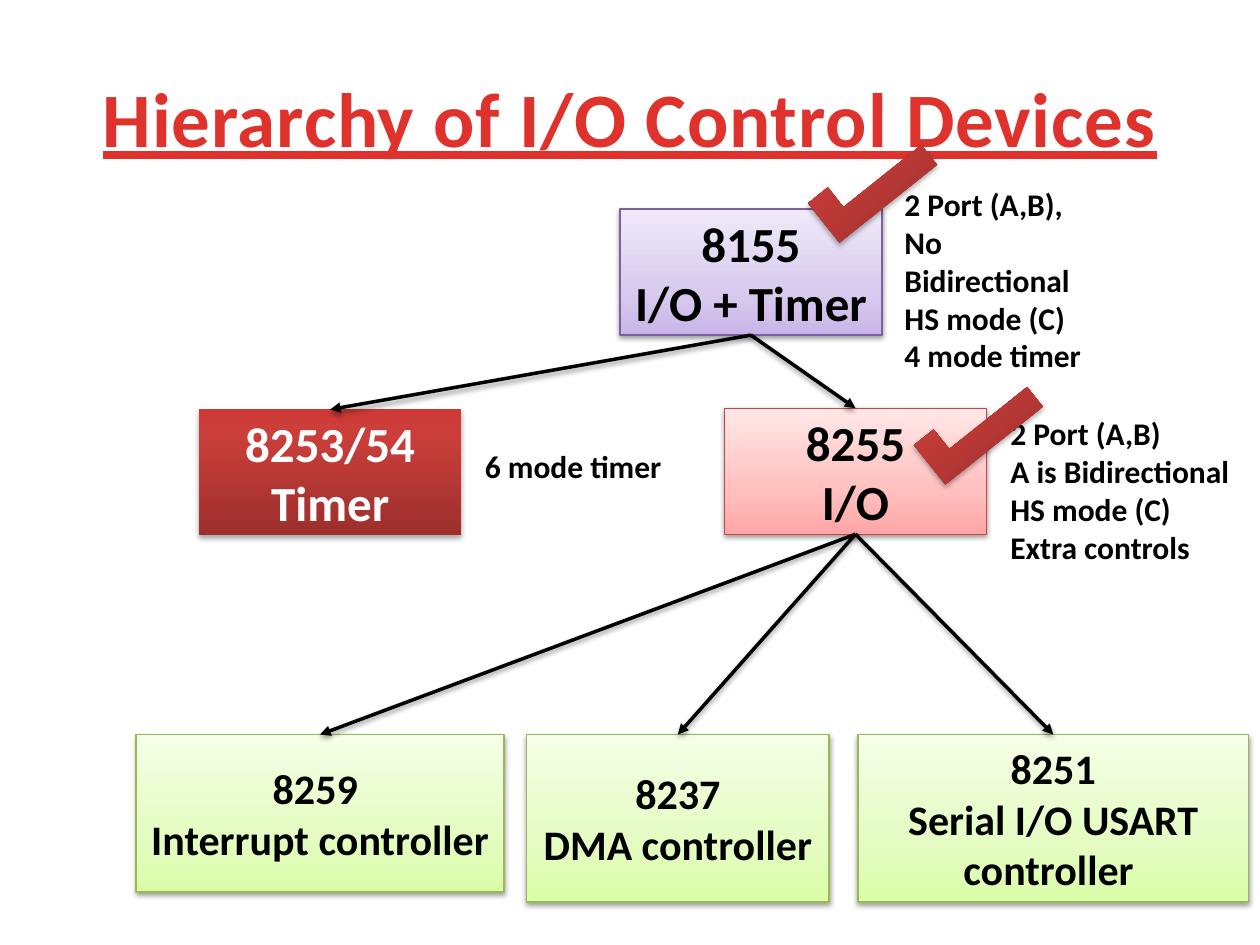
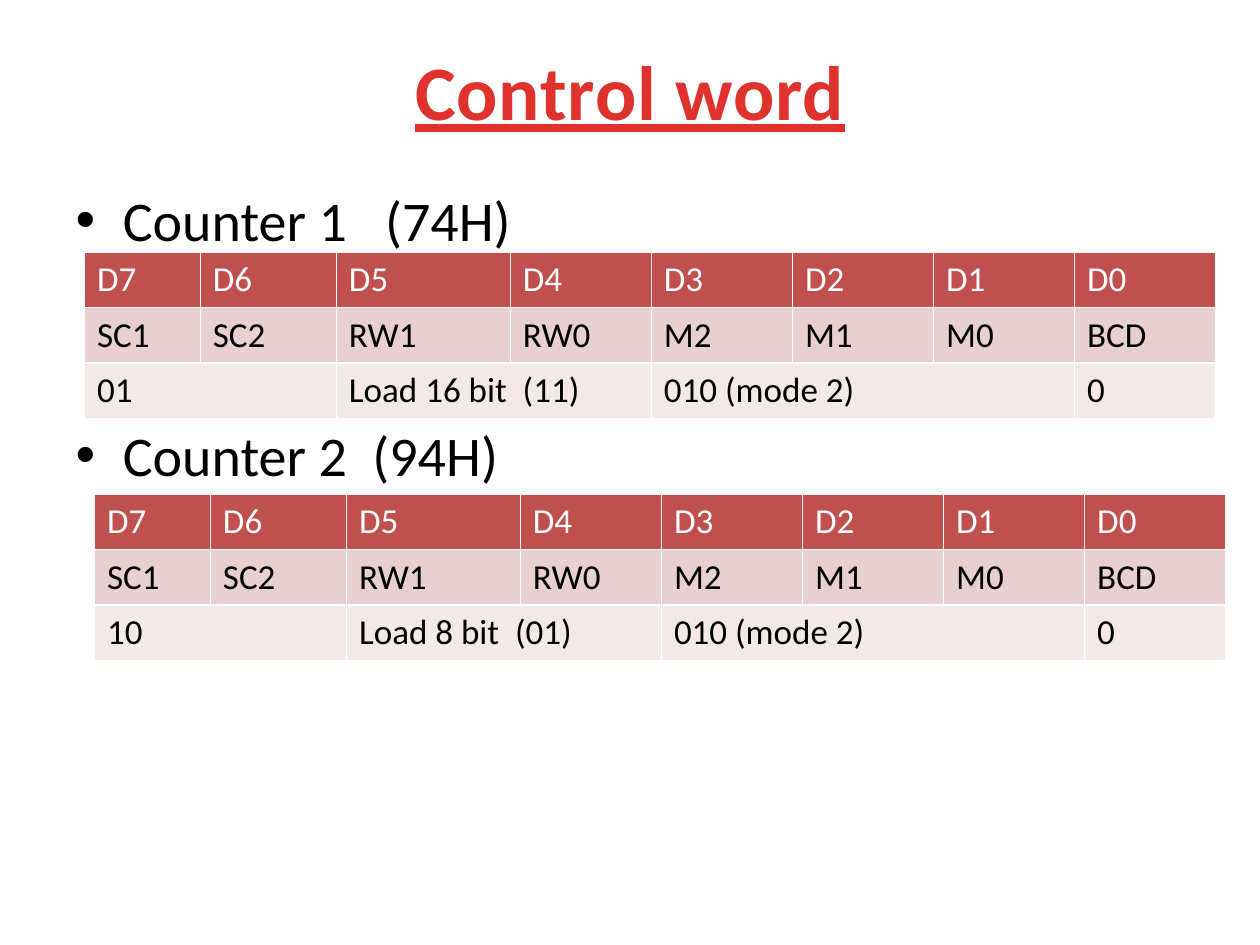
from lxml.etree import SubElement
from pptx import Presentation
from pptx.dml.color import RGBColor
from pptx.enum.shapes import MSO_CONNECTOR, MSO_SHAPE
from pptx.enum.text import MSO_ANCHOR, PP_ALIGN
from pptx.oxml.ns import qn
from pptx.util import Inches, Pt

FONT = "Calibri"
WIDE, HIGH = 10, 7.5
BLACK = RGBColor(0x00, 0x00, 0x00)
WHITE = RGBColor(0xFF, 0xFF, 0xFF)
TITLE = RGBColor(0xE0, 0x32, 0x2D)
HEAD = RGBColor(0xC0, 0x50, 0x4D)
ROWS = [HEAD, RGBColor(0xE8, 0xD0, 0xD0), RGBColor(0xF4, 0xE9, 0xE9)]

# look: gradient stops from the bottom up, edge colour, text colour
LOOKS = {
    "violet": ([(0, "C9B5E8"), (35, "D8CBEE"), (100, "F0EAF9")],
               RGBColor(0x7D, 0x60, 0xA0), BLACK),
    "pink": ([(0, "FFA6A5"), (35, "FFC0BF"), (100, "FFE7E7")],
             RGBColor(0xBF, 0x4C, 0x48), BLACK),
    "red": ([(0, "9C2F2D"), (80, "CB3E3A"), (100, "CE3B37")], None, WHITE),
    "green": ([(0, "DAFDA7"), (35, "E4FCC2"), (100, "F5FFE7")],
              RGBColor(0x98, 0xB9, 0x55), BLACK),
}

# chip: (left, top, width, height), look, text size, lines
CHIPS = {
    "8155": ((4.92, 1.66, 2.08, 1), "violet", 28, ["8155", "I/O + Timer"]),
    "8255": ((5.75, 3.24, 2.08, 1), "pink", 28, ["8255", "I/O"]),
    "8253": ((1.58, 3.25, 2.08, 1), "red", 28, ["8253/54", "Timer"]),
    "8259": ((1.08, 5.83, 2.92, 1.25), "green", 24,
             ["8259 ", "Interrupt controller "]),
    "8237": ((4.18, 5.83, 2.4, 1.33), "green", 24,
             ["8237", "DMA controller "]),
    "8251": ((6.81, 5.83, 3.1, 1.33), "green", 24,
             ["8251", "Serial I/O USART controller "]),
}
LINKS = {"8155": ["8255", "8253"], "8255": ["8259", "8237", "8251"]}
NOTES = [
    ((7.08, 1.42, 1.83, 1.62),
     ["2 Port (A,B),", "No Bidirectional", "HS mode (C)", "4 mode timer"]),
    ((7.92, 3.24, 2.25, 1.31),
     ["2 Port (A,B)", "A is Bidirectional", "HS mode (C)", "Extra controls"]),
    ((3.75, 3.5, 1.83, 0.4), ["6 mode timer"]),
]
TICKS = [(7.27, 3.18, 0.99, 0.4), (6.43, 1.26, 0.99, 0.4)]

BITS = ["D7", "D6", "D5", "D4", "D3", "D2", "D1", "D0"]
NAMES = ["SC1", "SC2", "RW1", "RW0", "M2", "M1", "M0", "BCD"]
SPANS = [2, 2, 3, 1]
COLS = [0.92, 1.08, 1.38] + [1.12] * 5
ROW = 0.43
# counter: bullet, table left and top, field values
COUNTS = [
    ("Counter 1   (74H)", 0.67, 2, ["01", "Load 16 bit  (11)", "010 (mode 2)", "0"]),
    ("Counter 2  (94H)", 0.75, 3.92, ["10", "Load 8 bit  (01)", "010 (mode 2)", "0"]),
]


def place(shape, box):
    shape.left, shape.top, shape.width, shape.height = map(Inches, box)


def write(frame, lines, size, color, bold=False, align=None):
    frame.text = "\n".join(lines)
    for para in frame.paragraphs:
        para.alignment = align
        font = para.font
        font.name, font.size, font.bold = FONT, Pt(size), bold
        font.color.rgb = color


def shade(shape, alpha=38, dist=1.6):
    """Give a shape or connector a soft shadow straight below it."""
    props = shape._element.spPr
    for old in props.findall(qn("a:effectLst")):
        props.remove(old)
    cast = SubElement(SubElement(props, qn("a:effectLst")), qn("a:outerShdw"),
                      blurRad=str(Pt(3.1)), dist=str(Pt(dist)), dir="5400000",
                      rotWithShape="0")
    tint = SubElement(cast, qn("a:srgbClr"), val="000000")
    SubElement(tint, qn("a:alpha"), val=str(alpha * 1000))


def paint(shape, look):
    stops, edge, _ = LOOKS[look]
    shape.fill.gradient()
    shape.fill.gradient_angle = 90
    ramp = shape._element.spPr.find(".//" + qn("a:gsLst"))
    for old in list(ramp):
        ramp.remove(old)
    for pos, color in stops:
        stop = SubElement(ramp, qn("a:gs"), pos=str(pos * 1000))
        SubElement(stop, qn("a:srgbClr"), val=color)
    if edge is None:
        shape.line.fill.background()
        shade(shape, 35, 1.8)
    else:
        shape.line.color.rgb = edge
        shape.line.width = Pt(0.75)
        shade(shape)


def start(deck, layout, text, top, high):
    """Add a slide with the shared title style."""
    slide = deck.slides.add_slide(deck.slide_layouts.get_by_name(layout))
    title = slide.shapes.title
    place(title, (0.05 * WIDE, top, 0.9 * WIDE, high))
    write(title.text_frame, [text], 44, TITLE, True, PP_ALIGN.CENTER)
    para = title.text_frame.paragraphs[0]
    para.font.underline = True
    para._p.pPr.find(qn("a:defRPr")).set("spc", "50")
    title.text_frame.vertical_anchor = MSO_ANCHOR.MIDDLE
    return slide


def add_chip(slide, box, look, size, lines):
    chip = slide.shapes.add_shape(MSO_SHAPE.RECTANGLE, *map(Inches, box))
    paint(chip, look)
    chip.text_frame.vertical_anchor = MSO_ANCHOR.MIDDLE
    write(chip.text_frame, lines, size, LOOKS[look][2], True, PP_ALIGN.CENTER)
    return chip


def add_link(slide, top, low):
    """Draw an arrow from the bottom of one chip to the top of the next."""
    link = slide.shapes.add_connector(MSO_CONNECTOR.STRAIGHT, 0, 0, 0, 0)
    link.begin_connect(top, 2)
    link.end_connect(low, 0)
    link.line.color.rgb = BLACK
    link.line.width = Pt(2)
    SubElement(link.line._get_or_add_ln(), qn("a:tailEnd"), type="triangle")
    shade(link)


def draw_tree(deck):
    slide = start(deck, "Title Only", "Hierarchy of I/O Control Devices", 0.3, 1.25)
    chips = {key: add_chip(slide, *spec) for key, spec in CHIPS.items()}
    for box, lines in NOTES:
        note = slide.shapes.add_textbox(*map(Inches, box))
        note.text_frame.word_wrap = True
        write(note.text_frame, lines, 18, BLACK, True)
    for top, lows in LINKS.items():
        for low in lows:
            add_link(slide, chips[top], chips[low])
    for box in TICKS:
        tick = slide.shapes.add_shape(MSO_SHAPE.CORNER, *map(Inches, box))
        tick.rotation = 321.4
        paint(tick, "red")


def add_word(slide, left, top, values):
    """Add the bit table of one control word."""
    grid = slide.shapes.add_table(
        len(ROWS), len(COLS), Inches(left), Inches(top),
        Inches(sum(COLS)), Inches(ROW * len(ROWS))).table
    for col, wide in zip(grid.columns, COLS):
        col.width = Inches(wide)
    fields = []
    for value, span in zip(values, SPANS):
        first = len(fields)
        fields += [value] + [""] * (span - 1)
        if span > 1:
            grid.cell(2, first).merge(grid.cell(2, first + span - 1))
    for r, texts in enumerate([BITS, NAMES, fields]):
        for c, text in enumerate(texts):
            cell = grid.cell(r, c)
            cell.fill.solid()
            cell.fill.fore_color.rgb = ROWS[r]
            write(cell.text_frame, [text], 20, BLACK if r else WHITE)


def draw_words(deck):
    slide = start(deck, "Title and Content", "Control word", 0, 1.42)
    body = slide.placeholders[1]
    place(body, (0.05 * WIDE, 1.42, 0.9 * WIDE, 4.95))
    write(body.text_frame, [row[0] for row in COUNTS], 32, BLACK)
    body.text_frame.paragraphs[1].space_before = Pt(96)
    for _, left, top, values in COUNTS:
        add_word(slide, left, top, values)


def main():
    deck = Presentation()
    deck.slide_width, deck.slide_height = Inches(WIDE), Inches(HIGH)
    draw_tree(deck)
    draw_words(deck)
    deck.save("out.pptx")


if __name__ == "__main__":
    main()
